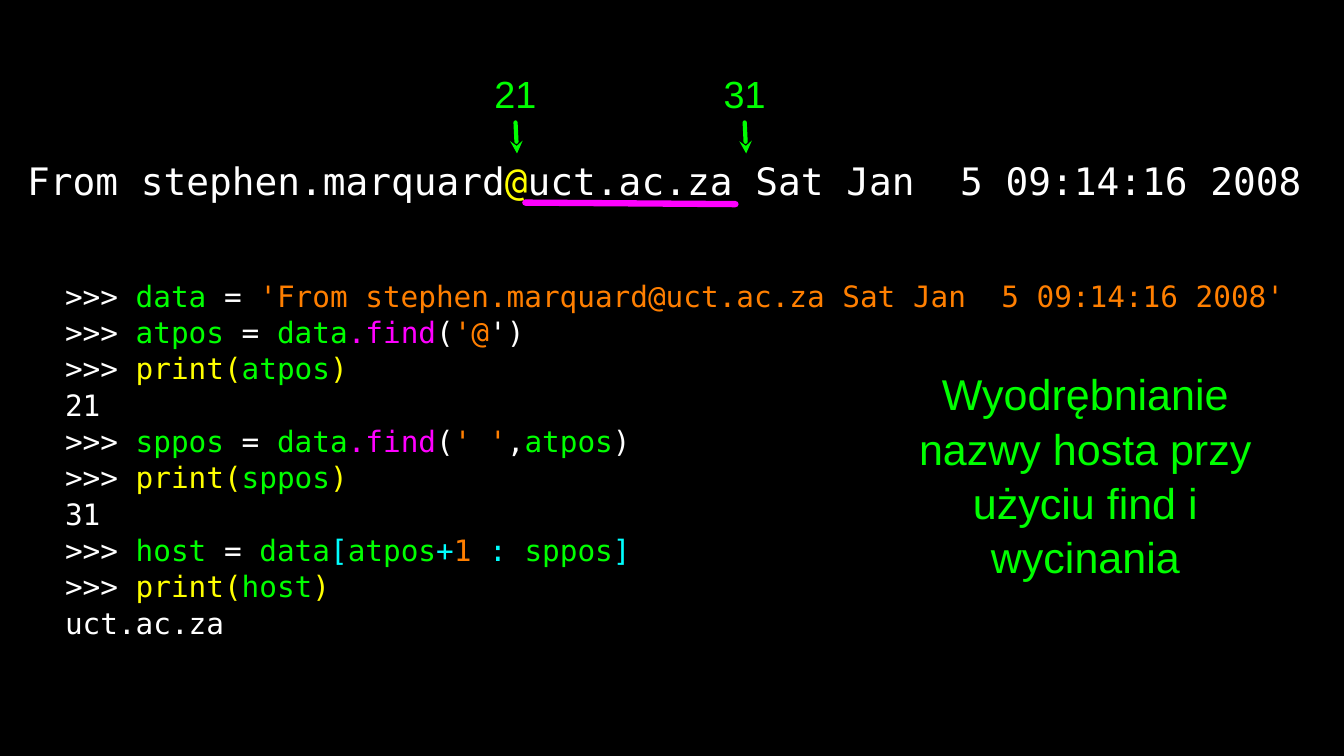
"""Build the slide on extracting a host name with find and slicing."""
from dataclasses import dataclass

from lxml import etree
from pptx import Presentation
from pptx.dml.color import RGBColor
from pptx.enum.shapes import MSO_CONNECTOR
from pptx.enum.text import MSO_ANCHOR, MSO_AUTO_SIZE, PP_ALIGN
from pptx.oxml.ns import qn
from pptx.util import Inches, Pt

STRAIGHT = MSO_CONNECTOR.STRAIGHT
MIDDLE = MSO_ANCHOR.MIDDLE
NO_FIT = MSO_AUTO_SIZE.NONE
LEFT, CENTER = PP_ALIGN.LEFT, PP_ALIGN.CENTER


@dataclass(frozen=True)
class Theme:
    background: str = "000000"
    plain: str = "FFFFFF"
    name: str = "00FF00"
    call: str = "FFFF00"
    method: str = "FF00FF"
    literal: str = "FF7F00"
    slicing: str = "00FFFF"
    sans: str = "Arial"
    mono: str = "DejaVu Sans Mono"
    code_size: int = 28
    header_size: int = 36
    caption_size: int = 41
    arrow_width: int = 4
    underline_width: int = 6


theme = Theme()
deck = Presentation()
deck.slide_width, deck.slide_height = Inches(17.78), Inches(10)
column, row = deck.slide_width / 100, deck.slide_height / 100
slide = deck.slides.add_slide(deck.slide_layouts[5])
slide.background.fill.solid()
slide.background.fill.fore_color.rgb = RGBColor.from_string(theme.background)


def write(holder, place, lines, font, size, align=LEFT, spacing=1.0):
    """Place a text holder on the grid and fill it with coloured runs."""
    left, top, width, height = place
    holder.left, holder.width = int(left * column), int(width * column)
    holder.top, holder.height = int(top * row), int(height * row)
    frame = holder.text_frame
    frame.word_wrap = True
    frame.auto_size = NO_FIT
    frame.vertical_anchor = MIDDLE
    frame.margin_left = frame.margin_right = 0
    frame.margin_top = frame.margin_bottom = 0
    for index, pieces in enumerate(lines):
        paragraph = frame.add_paragraph() if index else frame.paragraphs[0]
        paragraph.alignment = align
        paragraph.line_spacing = spacing
        paragraph.font.name = font
        paragraph.font.size = Pt(size)
        for text, color in pieces:
            run = paragraph.add_run()
            run.text = text
            run.font.color.rgb = RGBColor.from_string(color)


def draw(start, end, color, width, head=None):
    """Draw a round-capped line between two grid points."""
    stroke = slide.shapes.add_connector(
        STRAIGHT, int(start[0] * column), int(start[1] * row),
        int(end[0] * column), int(end[1] * row))
    stroke.line.color.rgb = RGBColor.from_string(color)
    stroke.line.width = Pt(width)
    outline = stroke.line._get_or_add_ln()
    outline.set("cap", "rnd")
    if head:
        etree.SubElement(outline, qn("a:headEnd"), type=head)
    etree.SubElement(stroke._element.spPr, qn("a:effectLst"))


prompt = (">>> ", theme.plain)
equals = (" = ", theme.plain)
opening, closing = ("(", theme.plain), (")", theme.plain)
print_call, print_end = ("print(", theme.call), (")", theme.call)
find = (".find", theme.method)
data, atpos, sppos, host = [
    (variable, theme.name) for variable in ("data", "atpos", "sppos", "host")]

session = [
    [prompt, data, equals,
     ("'From stephen.marquard@uct.ac.za Sat Jan  5 09:14:16 2008'", theme.literal)],
    [prompt, atpos, equals, data, find, opening,
     ("'@", theme.literal), ("')", theme.plain)],
    [prompt, print_call, atpos, print_end],
    [("21", theme.plain)],
    [prompt, sppos, equals, data, find, opening,
     ("' '", theme.literal), (",", theme.plain), atpos, closing],
    [prompt, print_call, sppos, print_end],
    [("31", theme.plain)],
    [prompt, host, equals, data, ("[", theme.slicing), atpos,
     ("+", theme.slicing), ("1", theme.literal), (" : ", theme.slicing),
     sppos, ("]", theme.slicing)],
    [prompt, print_call, host, print_end],
    [("uct.ac.za", theme.plain)],
]
mail_header = [
    ("From stephen.marquard", theme.plain),
    ("@", theme.call),
    ("uct.ac.za Sat Jan  5 09:14:16 2008", theme.plain),
]
caption = ("Wyodrębnianie nazwy hosta przy użyciu find i wycinania", theme.name)

write(slide.shapes.title, (67.04, 52.3, 27.45, 20.7), [[caption]],
      theme.sans, theme.caption_size, CENTER, 1.05)
write(slide.shapes.add_textbox(0, 0, 0, 0), (4.84, 34.5, 93.36, 52.3), session,
      theme.mono, theme.code_size, spacing=1.03)
write(slide.shapes.add_textbox(0, 0, 0, 0), (2.02, 20.1, 95.84, 7.4), [mail_header],
      theme.mono, theme.header_size)

for position, left in (("21", 36.61), ("31", 53.66)):
    write(slide.shapes.add_textbox(0, 0, 0, 0), (left, 9, 3.49, 6.8),
          [[(position, theme.name)]], theme.sans, theme.header_size, CENTER)
    draw((left + 1.86, 20.3), (left + 1.75, 16.2), theme.name,
         theme.arrow_width, "stealth")

draw((39.09, 26.8), (54.72, 27), theme.method, theme.underline_width)

deck.save("out.pptx")
